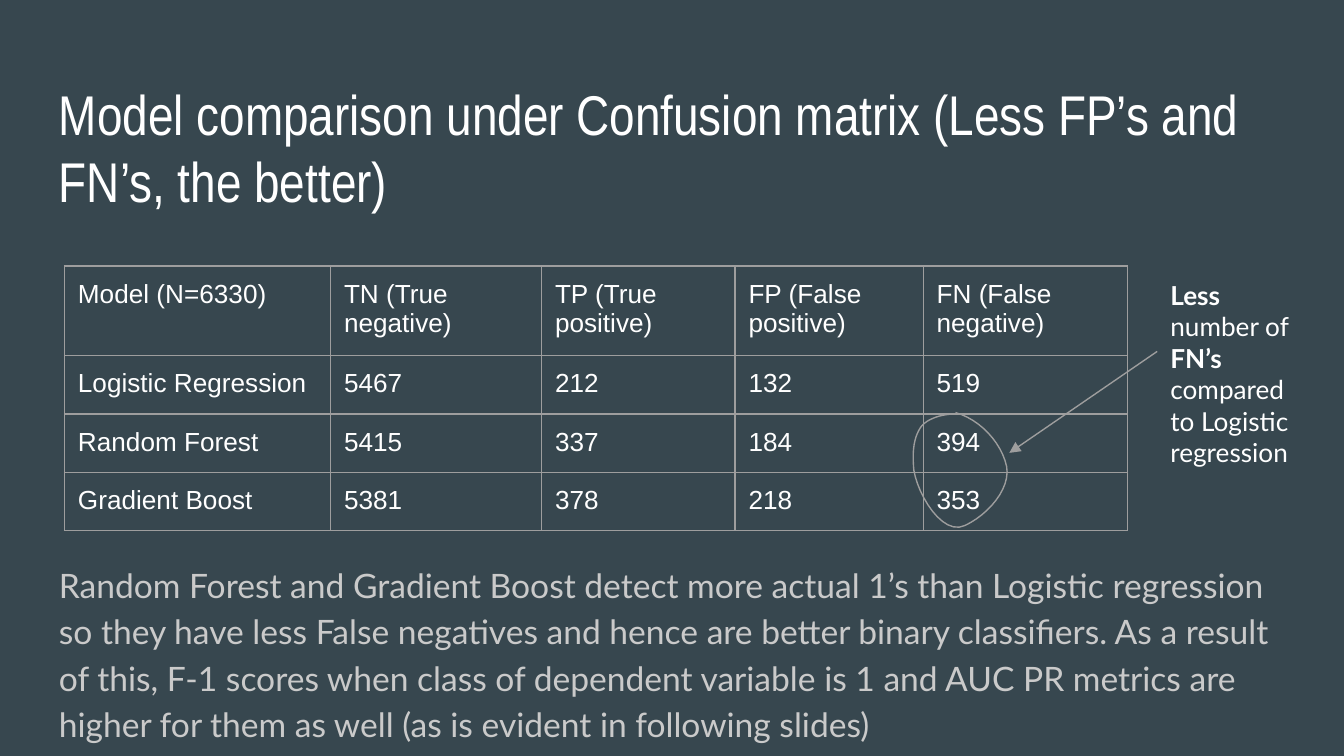
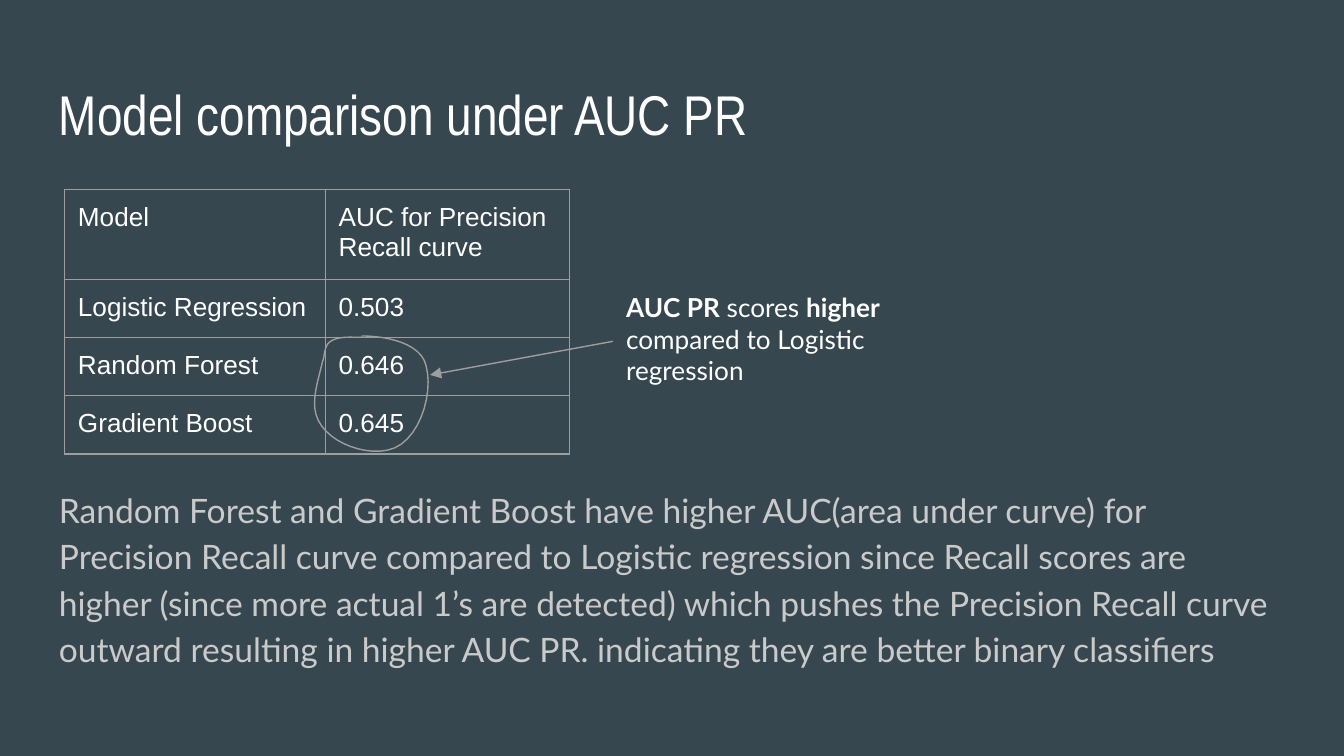
"""Build two slides that compare classification models."""
from lxml.etree import SubElement as Sub
from pptx import Presentation
from pptx.dml.color import RGBColor as RGB
from pptx.enum.shapes import MSO_CONNECTOR as CONN
from pptx.oxml.ns import qn
from pptx.util import Inches, Pt

COLORS = {"bg": "37474F", "text": "FFFFFF", "muted": "CACACA", "line": "9E9E9E"}
STYLES = {
    "title": ({"name": "Arial Narrow", "size": Pt(30), "bold": False}, "text"),
    "body": ({"name": "Lato", "size": Pt(18), "bold": False}, "muted"),
    "cell": ({"name": "Arial", "size": Pt(14), "bold": False}, "text"),
    "note": ({"name": "Lato", "size": Pt(14), "bold": False}, "text"),
    "strong": ({"name": "Lato", "size": Pt(14), "bold": True}, "text"),
}
SIDES = ("left", "right", "top", "bottom")
INSET, FRAME, STEPS = 0.1, 3.28, 12

SLIDES = [
    {
        "title": "Model comparison under Confusion matrix (Less FP’s and FN’s, the better)",
        "body": "Random Forest and Gradient Boost detect more actual 1’s than Logistic regression "
                "so they have less False negatives and hence are better binary classifiers. "
                "As a result of this, F-1 scores when class of dependent variable is 1 and AUC PR "
                "metrics are higher for them as well (as is evident in following slides)",
        "body_top": 4.06,
        "table_top": 1.98,
        "cols": [1.98, 1.57, 1.44, 1.4, 1.52],
        "heights": [0.59, 0.38, 0.38, 0.38],
        "rows": [
            ["Model (N=6330)", "TN (True negative)", "TP (True positive)",
             "FP (False positive)", "FN (False negative)"],
            ["Logistic Regression", "5467", "212", "132", "519"],
            ["Random Forest", "5415", "337", "184", "394"],
            ["Gradient Boost", "5381", "378", "218", "353"],
        ],
        "note_box": (8.61, 1.98, 1.27, 1.27),
        "note": [("strong", "Less"), ("note", " number of "), ("strong", "FN’s "),
                 ("note", "compared to Logistic regression")],
        "arrow_tip": (7.51, 3.37),
        "loop": [(7.11, 3.08), (7.02, 3.08), (6.9, 3.11), (6.85, 3.18),
                 (6.79, 3.27), (6.79, 3.39), (6.8, 3.5),
                 (6.83, 3.68), (7.01, 3.99), (7.18, 3.91),
                 (7.35, 3.83), (7.52, 3.64), (7.49, 3.47),
                 (7.45, 3.29), (7.29, 3.12), (7.11, 3.07)],
    },
    {
        "title": "Model comparison under AUC PR",
        "body": "Random Forest and Gradient Boost have higher AUC(area under curve) for Precision "
                "Recall curve compared to Logistic regression since Recall scores are higher "
                "(since more actual 1’s are detected) which pushes the Precision Recall curve "
                "outward resulting in higher AUC PR. indicating they are better binary classifiers",
        "body_top": 3.5,
        "table_top": 1.41,
        "cols": [1.94, 1.82],
        "heights": [0.42, 0.42, 0.42, 0.43],
        "rows": [
            ["Model", "AUC for Precision Recall curve"],
            ["Logistic Regression", "0.503"],
            ["Random Forest", "0.646"],
            ["Gradient Boost", "0.645"],
        ],
        "note_box": (4.56, 2.07, 2.41, 0.94),
        "note": [("strong", "AUC PR"), ("note", " scores "), ("strong", "higher "),
                 ("note", "compared to Logistic regression")],
        "arrow_tip": (3.2, 2.79),
        "loop": [(2.69, 2.51), (2.61, 2.51), (2.52, 2.5), (2.46, 2.54),
                 (2.41, 2.57), (2.42, 2.64), (2.4, 2.69),
                 (2.37, 2.82), (2.32, 2.96), (2.35, 3.08),
                 (2.4, 3.27), (2.68, 3.39), (2.88, 3.35),
                 (3.11, 3.31), (3.23, 2.94), (3.17, 2.72),
                 (3.13, 2.55), (2.87, 2.5), (2.69, 2.5)],
    },
]


def write(frame, holder, runs):
    frame.word_wrap = True
    for side in SIDES:
        setattr(holder, f"margin_{side}", Inches(INSET))
    p = frame.paragraphs[0]
    for style, text in runs:
        r = p.add_run()
        r.text = text
        fmt, color = STYLES[style]
        for key, value in fmt.items():
            setattr(r.font, key, value)
        r.font.color.rgb = RGB.from_string(COLORS[color])
    return p


def outline(sp):
    sp.line.color.rgb = RGB.from_string(COLORS["line"])
    sp.line.width = Pt(0.75)


prs = Presentation()
prs.slide_width = Inches(10)
prs.slide_height = prs.slide_width * 9 // 16

for data in SLIDES:
    s = prs.slides.add_slide(prs.slide_layouts[6])
    s.background.fill.solid()
    s.background.fill.fore_color.rgb = RGB.from_string(COLORS["bg"])

    title = s.shapes.add_textbox(*map(Inches, (0.34, 0.49, 9.32, 0.63)))
    write(title.text_frame, title.text_frame, [("title", data["title"])])
    body = s.shapes.add_textbox(*map(Inches, (0.34, data["body_top"], 9.32, 1.58)))
    write(body.text_frame, body.text_frame, [("body", data["body"])]).line_spacing = 1.15

    rows, cols = data["rows"], data["cols"]
    size = (0.48, data["table_top"], FRAME, FRAME)
    grid = s.shapes.add_table(len(rows), len(cols), *map(Inches, size))
    table = grid.table
    table.first_row = table.horz_banding = False
    for col, width in zip(table.columns, cols):
        col.width = Inches(width)
    for row, height, texts in zip(table.rows, data["heights"], rows):
        row.height = Inches(height)
        for cell, text in zip(row.cells, texts):
            write(cell.text_frame, cell, [("cell", text)])
            tc_pr = cell._tc.get_or_add_tcPr()
            for edge in ("lnL", "lnR", "lnT", "lnB"):
                ln = Sub(tc_pr, qn(f"a:{edge}"), w=str(Pt(0.75)))
                Sub(Sub(ln, qn("a:solidFill")), qn("a:srgbClr"), val=COLORS["line"])
            cell.fill.background()
    grid.width = grid.height = Inches(FRAME)

    note = s.shapes.add_textbox(*map(Inches, data["note_box"]))
    write(note.text_frame, note.text_frame, data["note"])

    tip = [Inches(v) for v in data["arrow_tip"]]
    arrow = s.shapes.add_connector(CONN.STRAIGHT, note.left, note.top, *tip)
    arrow.begin_connect(note, 1)
    outline(arrow)
    sp_pr = arrow._element.spPr
    Sub(sp_pr.find(qn("a:ln")), qn("a:tailEnd"), type="triangle")
    Sub(sp_pr, qn("a:effectLst"))

    knots = data["loop"]
    points = []
    for i in range(0, len(knots) - 1, 3):
        for step in range(1, STEPS + 1):
            t = step / STEPS
            weights = ((1 - t) ** 3, 3 * t * (1 - t) ** 2, 3 * t * t * (1 - t), t ** 3)
            points.append([Inches(sum(w * k[axis] for w, k in zip(weights, knots[i:i + 4])))
                           for axis in (0, 1)])
    builder = s.shapes.build_freeform(*map(Inches, knots[0]))
    builder.add_line_segments(points, close=False)
    loop = builder.convert_to_shape()
    loop.shadow.inherit = False
    loop.fill.background()
    outline(loop)

prs.save("out.pptx")
